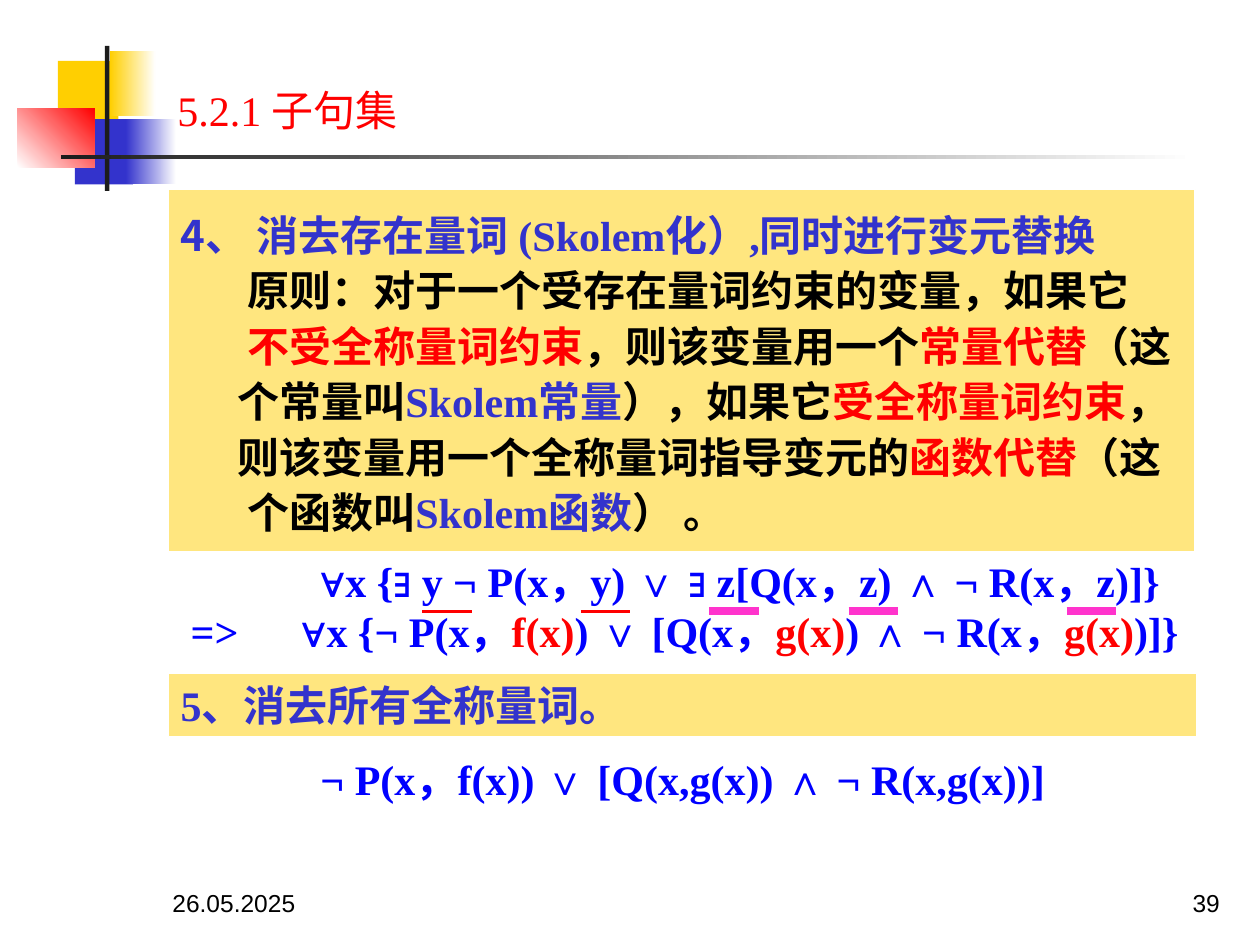
from lxml.etree import SubElement as Sub
from pptx import Presentation
from pptx.dml.color import RGBColor as Rgb
from pptx.enum.shapes import MSO_CONNECTOR as Connector, MSO_SHAPE as Shape
from pptx.enum.text import MSO_ANCHOR as Anchor, PP_ALIGN as Align
from pptx.oxml.ns import qn
from pptx.util import Inches, Pt

COLORS = {
    "gold": "FFCF01", "indigo": "3333CC", "red": "FF0000", "ink": "1C1C1C",
    "white": "FFFFFF", "black": "000000", "blue": "0000FF", "pink": "FF33CC",
}
SERIF, SANS, HAN = "Times New Roman", "Arial", "Noto Sans CJK SC"
WIDTH, HEIGHT = Inches(10), Inches(7.5)

# Shared columns, in percent of the slide's width
LEFT, BODY = 13.35, 81.65


def color(name):
    return Rgb.from_string(COLORS[name])


def place(left, top, width, height):
    """Turn percentages of the slide into lengths."""
    return (int(WIDTH * left / 100), int(HEIGHT * top / 100),
            int(WIDTH * width / 100), int(HEIGHT * height / 100))


def add_block(slide, area, fill=None, fade_to=None, angle=0):
    """A borderless rectangle: empty, plain or fading into a second colour."""
    block = slide.shapes.add_shape(Shape.RECTANGLE, *place(*area))
    block.shadow.inherit = False
    block.line.fill.background()
    if fade_to:
        block.fill.gradient()
        block.fill.gradient_angle = angle
        for stop, name in zip(block.fill.gradient_stops, (fill, fade_to)):
            stop.color.rgb = color(name)
    elif fill:
        block.fill.solid()
        block.fill.fore_color.rgb = color(fill)
    else:
        block.fill.background()
    return block


def add_panel(slide, area, fill=None):
    """A rectangle with a thin white border, empty or half-transparent."""
    panel = add_block(slide, area, fill)
    panel.line.color.rgb = color("white")
    panel.line.width = Pt(0.75)
    if fill:
        tint = panel.fill._xPr.find(qn("a:solidFill"))[0]
        Sub(tint, qn("a:alpha"), val="50000")
    return panel


def write(holder, lines, size=24, font=SERIF, ink="black", bold=False,
          align=Align.LEFT, anchor=Anchor.MIDDLE, spacing=None, indents=()):
    """Each line is a list of (text, colour[, font]) runs or a plain string;
    indents holds (margin, first-line shift) in inches for each line."""
    frame = holder.text_frame
    frame.word_wrap = False
    frame.vertical_anchor = anchor
    for number, line in enumerate(lines):
        paragraph = frame.add_paragraph() if number else frame.paragraphs[0]
        paragraph.alignment = align
        if spacing:
            paragraph.line_spacing = spacing
        if indents:
            margin, shift = indents[number]
            properties = paragraph._p.get_or_add_pPr()
            properties.set("marL", str(Inches(margin)))
            properties.set("indent", str(Inches(shift)))
        for text, tone, *face in [(line, ink)] if isinstance(line, str) else line:
            run = paragraph.add_run()
            run.text = text
            run.font.size = Pt(size)
            run.font.bold = bold
            run.font.name = face[0] if face else font
            run.font.color.rgb = color(tone)
            Sub(run._r.get_or_add_rPr(), qn("a:ea"), typeface=HAN)


def add_text(slide, area, lines, **style):
    write(slide.shapes.add_textbox(*place(*area)), lines, **style)


def add_underline(slide, left, tone, weight):
    x, y, length, _ = place(left, 64.7, 3.93, 0)
    mark = slide.shapes.add_connector(Connector.STRAIGHT, x, y, x + length, y)
    mark.line.color.rgb = color(tone)
    mark.line.width = Pt(weight)
    Sub(mark._element.spPr, qn("a:effectLst"))


def add_ornament(slide):
    add_block(slide, (4.6, 6.45, 4.8, 6.93), "gold")
    add_block(slide, (8.75, 5.4, 3.6, 6.93), "gold", "white")
    add_block(slide, (5.95, 12.6, 4.6, 6.93), "indigo")
    add_block(slide, (10, 12.6, 4, 6.93), "indigo", "white")
    add_block(slide, (1.4, 11.45, 6.1, 6.3), "white", "red", 45)
    add_block(slide, (8.33, 4.85, 0.35, 15.35), "ink")
    add_block(slide, (4.85, 16.4, 90, 0.45), "ink", "white")


def add_skolem_rule(slide):
    rule = add_panel(slide, (LEFT, 20.03, 81.5, 38.4), "gold")
    near, far = (0.45, 0), (0.53, 0)
    write(rule, [
        [("4、 ", "indigo", HAN),
         ("消去存在量词 (Skolem化）,同时进行变元替换", "indigo")],
        "原则：对于一个受存在量词约束的变量，如果它",
        [("不受全称量词约束", "red"), ("，则该变量用一个", "black"),
         ("常量代替", "red"), ("（这", "black")],
        [("个常量叫", "black"), ("Skolem常量", "indigo"), ("），如果它", "black"),
         ("受全称量词约束", "red"), ("，", "black")],
        [("则该变量用一个全称量词指导变元的", "black"),
         ("函数代替", "red"), ("（这", "black")],
        [("个函数叫", "black"), ("Skolem函数", "indigo"), ("） 。", "black")],
    ], bold=True, spacing=1.1, indents=[(0, 0), far, far, near, near, far])


def add_formulas(slide):
    # The steps reach to the right edge, so that each stays on one line
    steps = add_panel(slide, (LEFT, 59.1, 100 - LEFT, 10))
    write(steps, [
        "∀x {∃ y ¬ P(x，y) ∨ ∃ z[Q(x，z) ∧ ¬ R(x，z)]}",
        [("=>\t∀x {¬ P(x，", "blue"), ("f(x)", "red"), (") ∨ [Q(x，", "blue"),
         ("g(x)", "red"), (") ∧ ¬ R(x，", "blue"), ("g(x)", "red"),
         (")]}", "blue")],
    ], ink="blue", bold=True, indents=[(1.11, 0), (0.96, -0.88)])
    add_text(slide, (LEFT, 79.1, BODY, 6.67),
             ["¬ P(x，f(x)) ∨ [Q(x,g(x)) ∧ ¬ R(x,g(x))]"],
             ink="blue", bold=True, align=Align.CENTER)


def main():
    deck = Presentation()
    deck.slide_width, deck.slide_height = WIDTH, HEIGHT
    slide = deck.slides.add_slide(deck.slide_layouts[6])

    add_ornament(slide)

    # Heading
    add_text(slide, (13.1, 4.8, 85.2, 10.13), ["5.2.1 子句集"], ink="red",
             anchor=Anchor.BOTTOM, spacing=1.5, indents=[(0.38, -0.38)])

    # Step 4 with its formulas, then step 5
    add_skolem_rule(slide)
    add_formulas(slide)
    write(add_panel(slide, (LEFT, 71.25, BODY, 6.67), "gold"),
          ["5、消去所有全称量词。"], ink="indigo", bold=True)

    # Marks under the bound variables: y in red, z in pink
    for left in (33.5, 46.1):
        add_underline(slide, left, "red", 2)
    for left in (56.3, 67.35, 84.65):
        add_underline(slide, left, "pink", 4.5)

    # Footer
    for left, text, align in ((12.7, "26.05.2025", Align.LEFT),
                              (77, "39", Align.RIGHT)):
        add_text(slide, (left, 91.07, 20.8, 6.67), [text], size=14, font=SANS,
                 align=align, anchor=Anchor.BOTTOM)

    deck.save("out.pptx")


if __name__ == "__main__":
    main()
